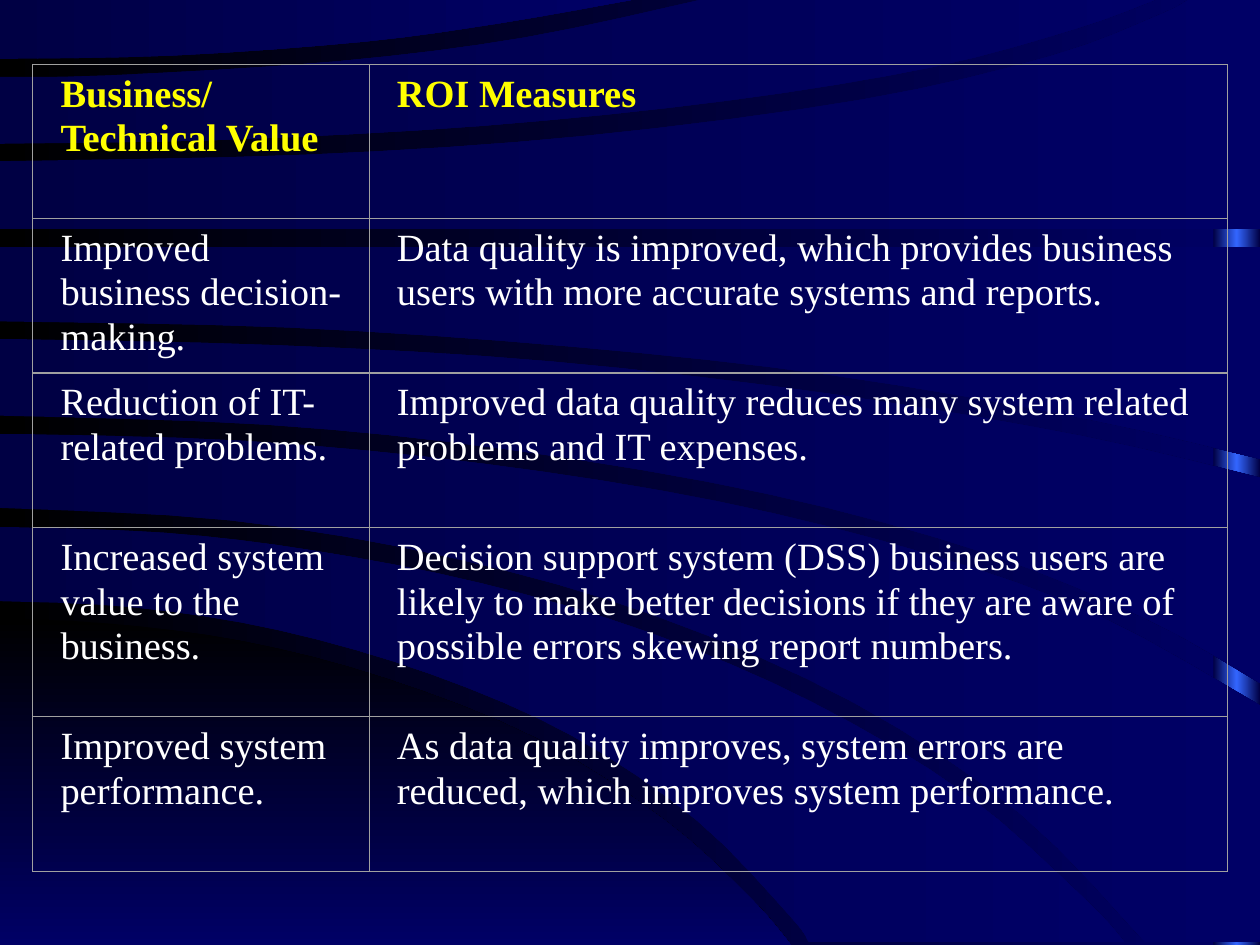
from lxml import etree
from pptx import Presentation, util as u
from pptx.dml.color import RGBColor
from pptx.enum import shapes
from pptx.oxml import ns

BLACK = RGBColor(0x00, 0x00, 0x00)
DARK = RGBColor(0x00, 0x00, 0x44)
NAVY = RGBColor(0x00, 0x00, 0x66)
BRIGHT = RGBColor(0x33, 0x66, 0xFF)
YELLOW = RGBColor(0xFF, 0xFF, 0x00)
WHITE = RGBColor(0xFF, 0xFF, 0xFF)
GREY = RGBColor(0xA0, 0xA0, 0xA0)

W, H = 25.4, 19.05

DOME = [(0, 12.47), (2.18, 12.57), (4.9, 12.93), (7.75, 13.67), (10.8, 14.88),
        (13.41, 16.54), (15.14, 18.11), (15.95, H)]

# Each band: upper edge, lower edge, corners between their right ends.
BANDS = [
    ([(0, 10.62), (3.3, 10.74), (6.32, 11.1), (9.7, 11.76), (13.08, 12.75),
      (16.36, 14.15), (19.46, 16), (21.89, 18.14), (22.68, 19)],
     [(0, 12.12), (2.67, 12.24), (5.61, 12.7), (8.69, 13.59), (11.53, 14.83),
      (14.05, 16.54), (15.93, 18.47), (16.31, 19)], []),
    ([(0, 8.74), (4.95, 8.89), (9.75, 9.35), (14.48, 10.11), (18.75, 11.18),
      (22.17, 12.42), (W, 14.22)],
     [(0, 10.24), (4.65, 10.49), (9.14, 11.25), (13.23, 12.42), (17.22, 14.17),
      (20.57, 16.41), (23.09, 19)], [(W, 19)]),
    ([(0, 6.83), (5.56, 6.96), (11.13, 7.29), (16.81, 7.95), (21.82, 8.79), (W, 9.63)],
     [(0, 8.38), (5.36, 8.56), (10.31, 9.07), (15.49, 9.96), (19.86, 11.15),
      (23.16, 12.5), (W, 13.77)], []),
    ([(0, 4.98), (W, 4.98)],
     [(0, 6.48), (5.79, 6.6), (11.56, 6.99), (16.81, 7.57), (21.97, 8.46), (W, 9.25)], []),
    ([(0, 3.25), (6.2, 3.12), (11.81, 2.74), (17.37, 2.01), (21.21, 1.12),
      (23.37, 0.3), (23.95, 0)],
     [(0, 4.62), (W, 4.62)], [(W, 0)]),
    ([(0, 1.55), (2.21, 1.52), (6.78, 1.24), (10.57, 0.76), (14.12, 0)],
     [(0, 2.9), (4.5, 2.82), (9.68, 2.54), (14.66, 2.03), (18.82, 1.35),
      (21.69, 0.58), (23.29, 0)], []),
    ([(0, 0), (12.73, 0)],
     [(0, 1.19), (3.48, 1.12), (7.34, 0.84), (10.13, 0.46), (12.73, 0)], []),
]

ROWS = [
    ("Business/\nTechnical Value", "ROI Measures"),
    ("Improved business decision-making.",
     "Data quality is improved, which provides business users with more accurate "
     "systems and reports."),
    ("Reduction of IT-related problems.",
     "Improved data quality reduces many system related problems and IT expenses."),
    ("Increased system value to the business.",
     "Decision support system (DSS) business users are likely to make better decisions "
     "if they are aware of possible errors skewing report numbers."),
    ("Improved system performance.",
     "As data quality improves, system errors are reduced, which improves system "
     "performance."),
]
COL_WIDTHS = [6.78, 17.3]
ROW_HEIGHTS = [3.1, 3.12, 3.12, 3.81, 3.12]


def set_gradient(fill, start, end, angle=0):
    fill.gradient()
    fill.gradient_angle = angle
    for stop, color, position in zip(fill.gradient_stops, (start, end), (0, 1)):
        stop.color.rgb = color
        stop.position = position


def finish(sp, start, end, angle=0):
    sp.shadow.inherit = False
    sp.line.fill.background()
    set_gradient(sp.fill, start, end, angle)


def smooth(pts, steps=4):
    ext = [pts[0], *pts, pts[-1]]
    curve = []
    for a, b, c, d in zip(ext, ext[1:], ext[2:], ext[3:]):
        for i in range(steps):
            t = i / steps
            curve.append(tuple(
                q + t / 2 * (r - p + t * (2*p - 5*q + 4*r - v + t * (3*q - p - 3*r + v)))
                for p, q, r, v in zip(a, b, c, d)))
    return curve + [pts[-1]]


def add_outline(s, left, top, pts):
    pts = [(u.Cm(left + x), u.Cm(top + y)) for x, y in pts]
    fb = s.shapes.build_freeform(*pts[0])
    fb.add_line_segments(pts[1:], close=True)
    return fb.convert_to_shape()


def add_backdrop(s, left, top, width, height):
    set_gradient(s.background.fill, BLACK, NAVY)
    half = 0.47
    for i, colors in enumerate([(DARK, BRIGHT), (BRIGHT, DARK)]):
        sp = s.shapes.add_shape(
            shapes.MSO_SHAPE.RECTANGLE, u.Cm(left + width - (2 - i) * half), u.Cm(top),
            u.Cm(half), u.Cm(height))
        finish(sp, *colors)
    finish(add_outline(s, left, top, smooth(DOME) + [(0, height)]), BLACK, NAVY, 270)
    for upper, lower, corners in BANDS:
        pts = smooth(upper) + corners + smooth(lower)[::-1]
        finish(add_outline(s, left, top, pts), DARK, NAVY)


def set_borders(cell):
    tcPr = cell._tc.get_or_add_tcPr()
    for i, side in enumerate(("lnL", "lnR", "lnT", "lnB")):
        ln = etree.Element(ns.qn("a:" + side), w=str(u.Pt(0.75)))
        fill = etree.SubElement(ln, ns.qn("a:solidFill"))
        etree.SubElement(fill, ns.qn("a:srgbClr"), val=str(GREY))
        tcPr.insert(i, ln)


def fill_cell(cell, words, header):
    cell.fill.background()
    set_borders(cell)
    cell.margin_left = cell.margin_right = u.Cm(0.56)
    cell.margin_top = cell.margin_bottom = u.Cm(0.13)
    cell.text = words
    for p in cell.text_frame.paragraphs:
        p.line_spacing = 1.05
        p.font.name = "Times New Roman"
        p.font.size = u.Pt(22)
        p.font.bold = header
        p.font.color.rgb = YELLOW if header else WHITE


def add_measures(s, left, top):
    tbl = s.shapes.add_table(
        len(ROWS), len(COL_WIDTHS), u.Cm(left), u.Cm(top),
        u.Cm(sum(COL_WIDTHS)), u.Cm(sum(ROW_HEIGHTS))).table
    tbl.horz_banding = False
    for col, width in zip(tbl.columns, COL_WIDTHS):
        col.width = u.Cm(width)
    for i, (row, height) in enumerate(zip(tbl.rows, ROW_HEIGHTS)):
        row.height = u.Cm(height)
        for cell, words in zip(row.cells, ROWS[i]):
            fill_cell(cell, words, i == 0)


def main():
    prs = Presentation()
    prs.slide_width, prs.slide_height = u.Cm(W), u.Cm(H)
    s = prs.slides.add_slide(prs.slide_layouts[6])
    add_backdrop(s, 0, 0, W, H)
    add_measures(s, 0.66, 1.3)
    prs.save("out.pptx")


if __name__ == "__main__":
    main()
